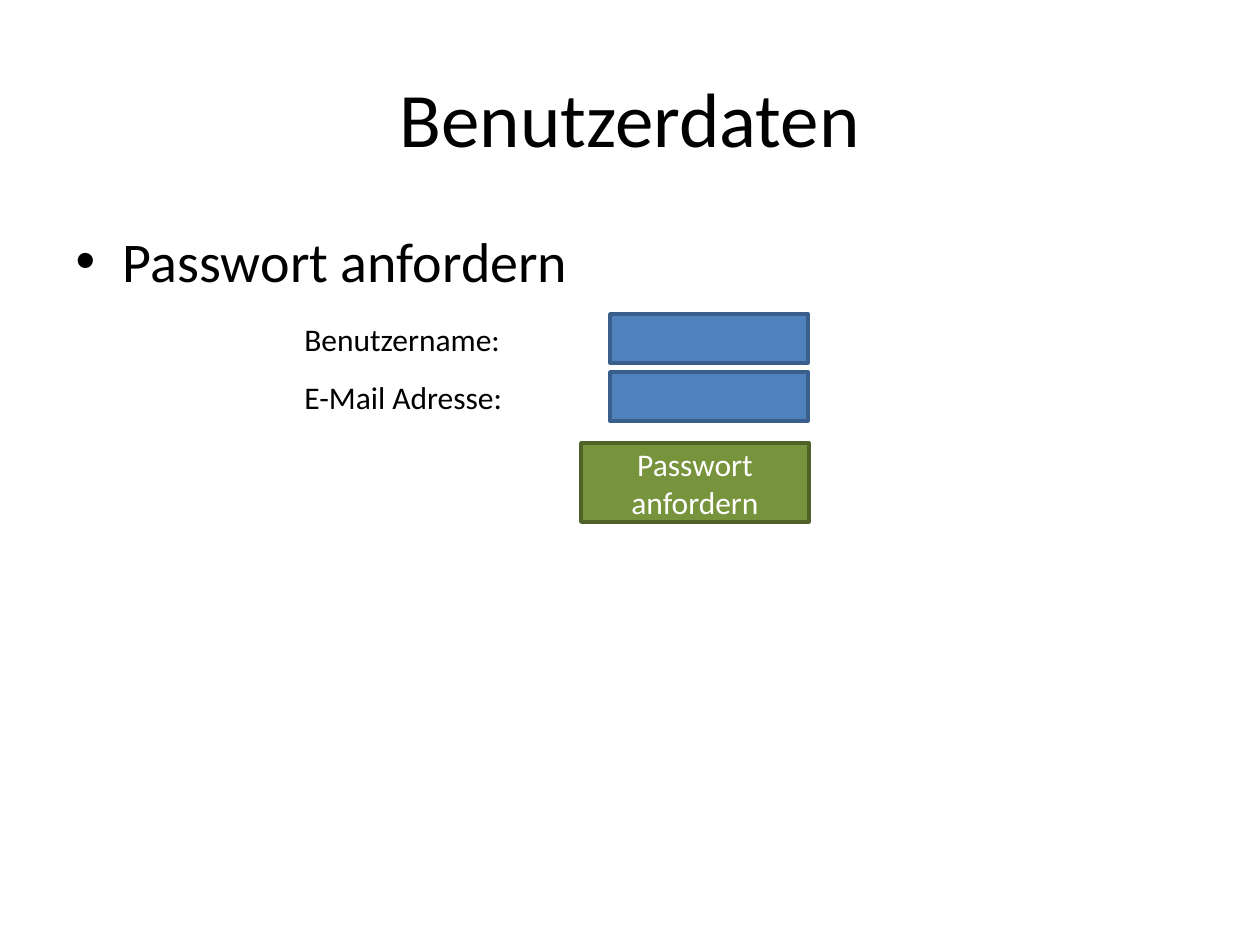
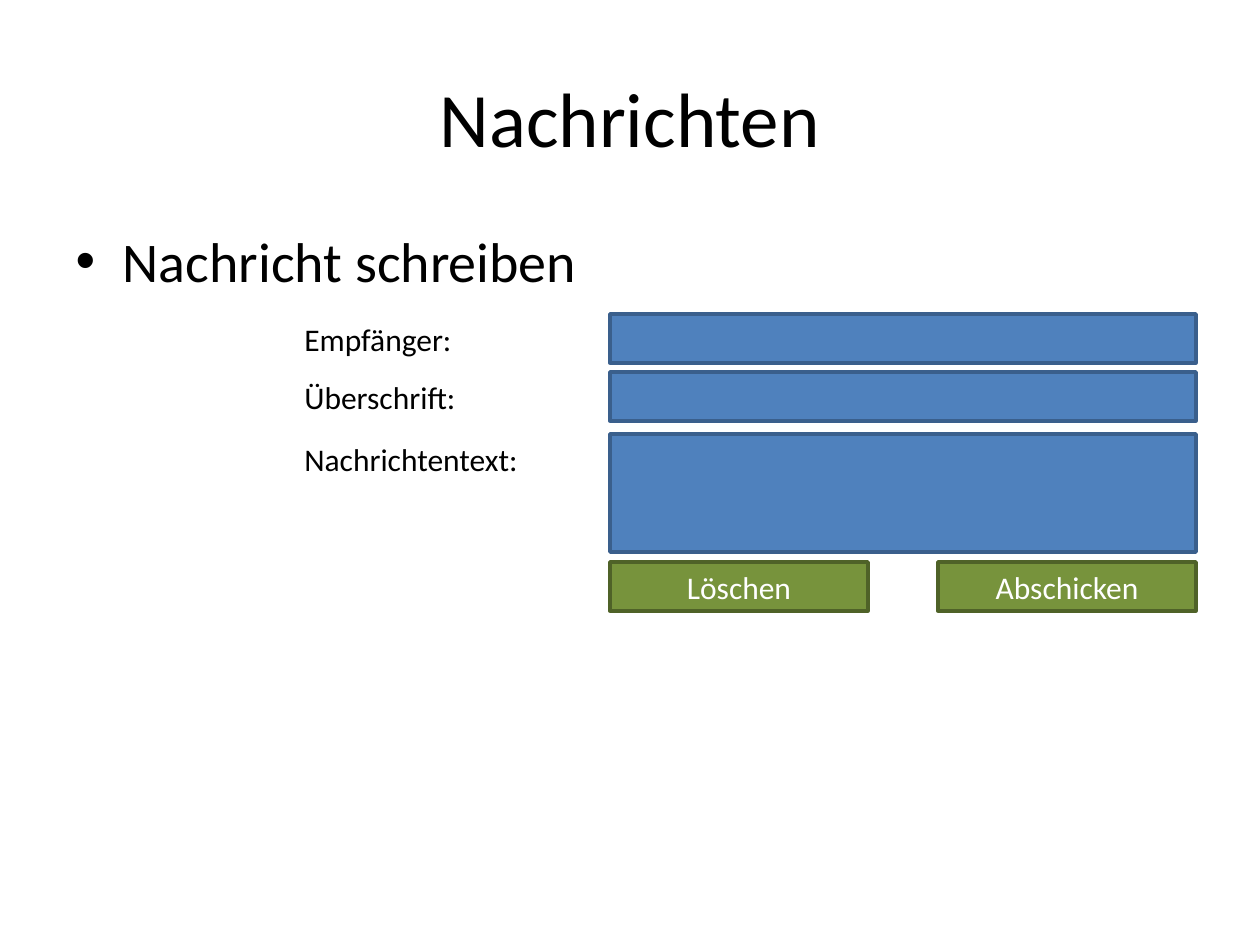
"""Build two slides with form mock-ups: a password request and a message form."""
from dataclasses import dataclass
from typing import Optional

from pptx import Presentation
from pptx.dml.color import RGBColor
from pptx.enum.shapes import MSO_SHAPE
from pptx.enum.text import MSO_ANCHOR, MSO_AUTO_SIZE, PP_ALIGN
from pptx.util import Emu, Inches, Pt

COLORS = {
    "text": "000000",
    "button_text": "FFFFFF",
    "field": "4F81BD",
    "field_line": "3A5F8C",
    "button": "77933C",
    "button_line": "4F6228",
}
SCALE = Inches(1) / 126
LABEL_X, FIELD_X = 292, 610
ROW_Y, ROW_STEP, ROW_H, LABEL_H = 314, 58, 49, 50
TITLE_BOX = (63, 38, 1134, 157)
BODY_BOX = (63, 220, 1134, 624)


@dataclass
class Field:
    """One labelled input of a form."""
    label: str
    label_w: int
    height: int = ROW_H
    offset: int = 0


@dataclass
class Button:
    """One push button of a form."""
    text: str
    x: int
    y: int
    w: int
    h: int = ROW_H


@dataclass
class Form:
    """One slide with its title, bullet, fields and buttons."""
    title: str
    bullet: str
    field_w: int
    fields: list[Field]
    buttons: list[Button]


def px(*values: int) -> list[Emu]:
    """Turn pixels into EMU."""
    return [Emu(round(v * SCALE)) for v in values]


def rgb(name: str) -> RGBColor:
    """Look up a colour by its name."""
    return RGBColor.from_string(COLORS[name])


def write(tf, text: str, size: int, color: str = "text",
          align: Optional[PP_ALIGN] = None) -> None:
    """Put one formatted run into a text frame."""
    p = tf.paragraphs[0]
    p.alignment = align
    r = p.add_run()
    r.text = text
    for name, value in {"size": Pt(size), "name": "Calibri"}.items():
        setattr(r.font, name, value)
    r.font.color.rgb = rgb(color)


def place(sp, box: tuple[int, int, int, int]) -> None:
    """Move a placeholder to a pixel box."""
    for name, value in zip(("left", "top", "width", "height"), px(*box)):
        setattr(sp, name, value)


def add_box(s, x: int, y: int, w: int, h: int, kind: str):
    """Draw a rectangle in the colours of its kind."""
    sp = s.shapes.add_shape(MSO_SHAPE.RECTANGLE, *px(x, y, w, h))
    sp.shadow.inherit = False
    sp.fill.solid()
    sp.fill.fore_color.rgb = rgb(kind)
    sp.line.color.rgb = rgb(f"{kind}_line")
    sp.line.width = Pt(2)
    return sp


def add_field(s, field: Field, y: int, width: int) -> None:
    """Draw an input box and its label."""
    add_box(s, FIELD_X, y, width, field.height, "field")
    tf = s.shapes.add_textbox(*px(LABEL_X, y, field.label_w, LABEL_H)).text_frame
    for name, value in {"word_wrap": False,
                        "auto_size": MSO_AUTO_SIZE.SHAPE_TO_FIT_TEXT}.items():
        setattr(tf, name, value)
    write(tf, field.label, 18)


def add_button(s, button: Button) -> None:
    """Draw a button with centred text."""
    tf = add_box(s, button.x, button.y, button.w, button.h, "button").text_frame
    for name, value in {"word_wrap": True,
                        "vertical_anchor": MSO_ANCHOR.MIDDLE}.items():
        setattr(tf, name, value)
    write(tf, button.text, 18, "button_text", PP_ALIGN.CENTER)


def add_form(prs, form: Form) -> None:
    """Add one form slide."""
    s = prs.slides.add_slide(prs.slide_layouts[1])
    title, body = s.placeholders
    place(title, TITLE_BOX)
    title.text_frame.vertical_anchor = MSO_ANCHOR.MIDDLE
    write(title.text_frame, form.title, 44, align=PP_ALIGN.CENTER)
    place(body, BODY_BOX)
    write(body.text_frame, form.bullet, 32)
    for row, field in enumerate(form.fields):
        add_field(s, field, ROW_Y + row * ROW_STEP + field.offset, form.field_w)
    for button in form.buttons:
        add_button(s, button)


FORMS = [
    Form("Benutzerdaten", "Passwort anfordern", 198,
         [Field("Benutzername:", 223), Field("E-Mail Adresse:", 225)],
         [Button("Passwort anfordern", 581, 443, 228, 79)]),
    Form("Nachrichten", "Nachricht schreiben", 586,
         [Field("Empfänger:", 174), Field("Überschrift:", 179),
          Field("Nachrichtentext:", 241, height=118, offset=4)],
         [Button("Löschen", FIELD_X, 562, 258),
          Button("Abschicken", FIELD_X + 586 - 258, 562, 258)]),
]


def main() -> None:
    """Build and save the presentation."""
    prs = Presentation()
    prs.slide_width, prs.slide_height = Inches(10), Inches(7.5)
    for form in FORMS:
        add_form(prs, form)
    prs.save("out.pptx")


main()
